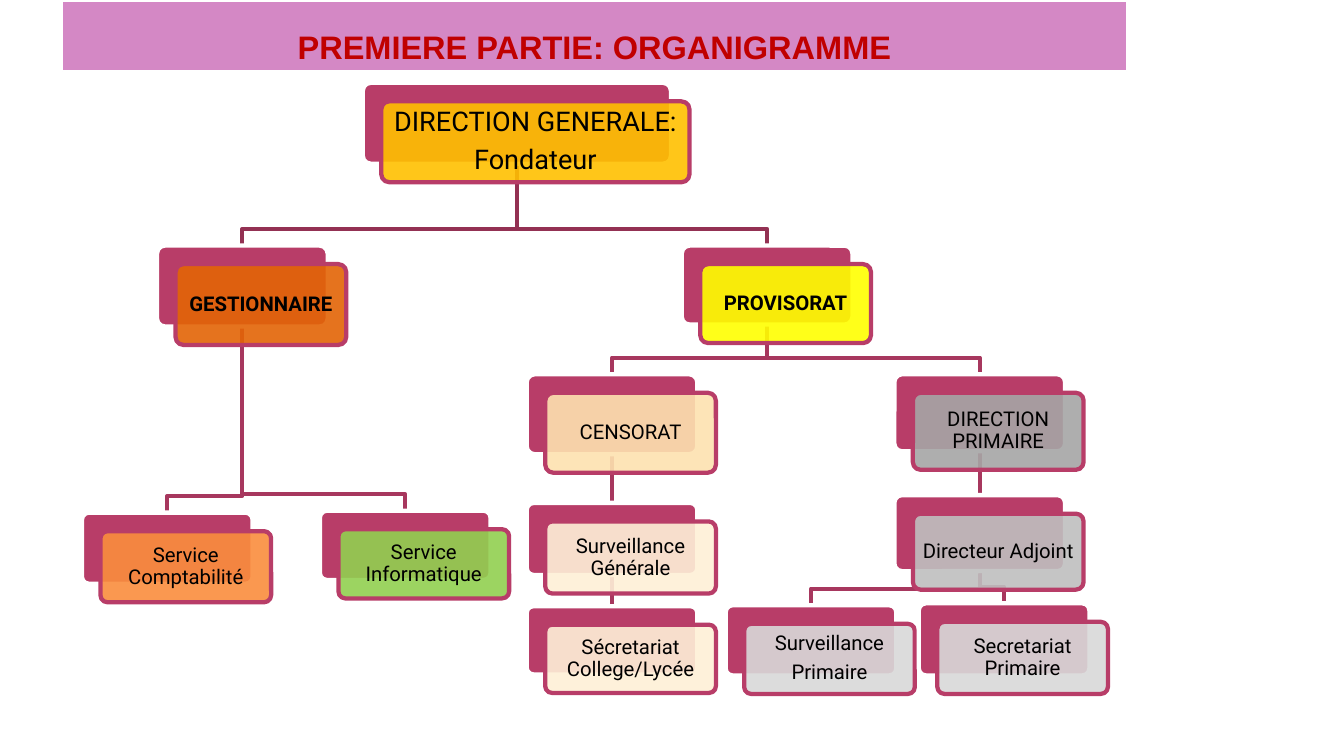
from lxml import etree
from pptx import Presentation
from pptx.dml.color import RGBColor
from pptx.enum import shapes, text
from pptx.oxml import ns
from pptx.util import Inches, Pt

HUES = {
    "title": "D488C5", "head": "C00000", "ink": "000000", "white": "FFFFFF",
    "back": "B83D68", "top": "933153", "line": "A7375E",
    "gold": "FFC000", "rust": "E36406", "yellow": "FFFF00",
    "orange": "FA8D3D", "green": "92D050", "cream": "FDE2B0",
    "pale": "FEF0D7", "dark": "A6A6A6", "mid": "BFBFBF", "light": "D9D9D9",
}


def write(shape, words, size=15, bold=False, font="Roboto", hue="ink",
          anchor="MIDDLE", pad=0.06, lead=0.9, after=0.35):
    frame = shape.text_frame
    frame.word_wrap = True
    frame.auto_size = text.MSO_AUTO_SIZE.NONE
    frame.vertical_anchor = text.MSO_ANCHOR[anchor]
    frame.margin_left = frame.margin_right = Inches(pad)
    frame.margin_top = frame.margin_bottom = Inches(min(pad, 0.08))
    frame.text = words
    for para in frame.paragraphs:
        para.alignment = text.PP_ALIGN.CENTER
        para.line_spacing = lead
        para.space_before = Pt(0)
        para.space_after = Pt(size * after)
        face = para.runs[0].font
        face.name, face.size, face.bold = font, Pt(size), bold
        face.color.rgb = RGBColor.from_string(HUES[hue])


def paint(shape, fill, line, width=3.15):
    shape.shadow.inherit = False
    if fill:
        shape.fill.solid()
        shape.fill.fore_color.rgb = RGBColor.from_string(HUES[fill])
    else:
        shape.fill.background()
    shape.line.color.rgb = RGBColor.from_string(HUES[line])
    shape.line.width = Pt(width)


deck = Presentation()
deck.slide_width, deck.slide_height = Inches(13.78), Inches(7.5)
slide = deck.slides.add_slide(deck.slide_layouts[5])

title = slide.shapes.title
title.left, title.top = Inches(0.64), Inches(0.01)
title.width, title.height = Inches(10.91), Inches(0.72)
paint(title, "title", "white", 0.9)
write(title, "PREMIERE PARTIE: ORGANIGRAMME", size=24, bold=True, font="Arial",
      hue="head", anchor="BOTTOM", pad=0.1, lead=1, after=0)
title.text_frame.margin_top = title.text_frame.margin_bottom = Inches(0.05)

WIDE, STEP, DROP = 1.75, 0.19, 0.17
big = {"size": 20, "pad": 0.08}
bold = {"bold": True}
posts = {
    "head": (None, 3.72, 0.85, 3.16, 0.83, "gold",
             "DIRECTION GENERALE:\nFondateur", big),
    "manager": ("head", 1.61, 2.52, WIDE, 0.83, "rust", "GESTIONNAIRE", bold),
    "accounts": ("manager", 0.84, 5.26, WIDE, 0.73, "orange",
                 "Service Comptabilité", {}),
    "computing": ("manager", 3.28, 5.24, WIDE, 0.71, "green",
                  "Service Informatique", {}),
    "provost": ("head", 6.99, 2.52, WIDE, 0.81, "yellow", "PROVISORAT", bold),
    "censor": ("provost", 5.4, 3.84, WIDE, 0.82, "cream", "CENSORAT", {}),
    "watch": ("censor", 5.4, 5.16, WIDE, 0.74, "pale",
              "Surveillance Générale", {}),
    "office": ("watch", 5.4, 6.22, WIDE, 0.7, "pale",
               "Sécretariat College/Lycée", {}),
    "primary": ("provost", 9.17, 3.84, WIDE, 0.79, "dark",
                "DIRECTION PRIMAIRE", {}),
    "deputy": ("primary", 9.17, 5.08, WIDE, 0.78, "mid",
               "Directeur Adjoint", {}),
    "junior": ("deputy", 7.44, 6.21, WIDE, 0.72, "light",
               "Surveillance\nPrimaire", {}),
    "desk": ("deputy", 9.42, 6.19, WIDE, 0.74, "light",
             "Secretariat Primaire", {}),
}

for boss, left, top, wide, *rest in reversed(posts.values()):
    if not boss:
        continue
    hue = "top" if boss == "head" else "line"
    x, y, w, h = posts[boss][1:5]
    start, end = Inches(x + w / 2), Inches(left + wide / 2)
    low, high, bend = Inches(y + h), Inches(top), Inches(top - DROP)
    if start == end:
        link = slide.shapes.add_connector(
            shapes.MSO_CONNECTOR.STRAIGHT, start, low, end, high)
        link.line.color.rgb = RGBColor.from_string(HUES[hue])
        link.line.width = Pt(3.15)
        etree.SubElement(link._element.spPr, ns.qn("a:effectLst"))
    else:
        route = slide.shapes.build_freeform(start, low)
        route.add_line_segments([(start, bend), (end, bend), (end, high)],
                                close=False)
        paint(route.convert_to_shape(), None, hue)

for boss, left, top, wide, high, fill, words, style in posts.values():
    for step, hue, edge in ((0, "back", "white"), (STEP, fill, "back")):
        card = slide.shapes.add_shape(
            shapes.MSO_SHAPE.ROUNDED_RECTANGLE, Inches(left + step),
            Inches(top + step), Inches(wide), Inches(high))
        card.adjustments[0] = 0.1
        paint(card, hue, edge)
    tint = card._element.spPr.find(".//" + ns.qn("a:srgbClr"))
    etree.SubElement(tint, ns.qn("a:alpha"), val="90000")
    write(card, words, **style)

deck.save("out.pptx")
